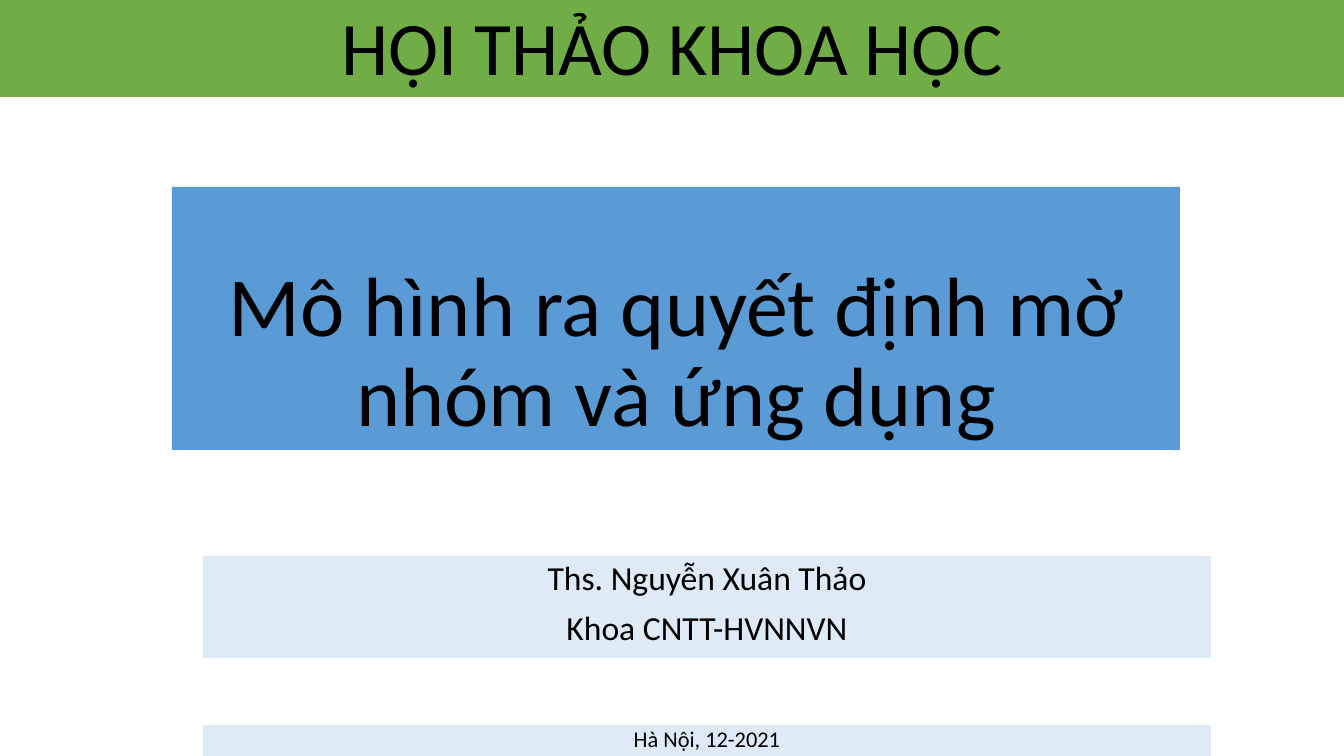
from dataclasses import dataclass

from pptx import Presentation
from pptx.dml.color import RGBColor
from pptx.enum.text import MSO_ANCHOR, MSO_AUTO_SIZE, PP_ALIGN
from pptx.util import Emu, Pt

EMU_PER_PX = 914400 / 100.8
BLACK = RGBColor(0x00, 0x00, 0x00)
BLUE = RGBColor(0x5B, 0x9B, 0xD5)
PALE_BLUE = RGBColor(0xDE, 0xEB, 0xF7)
GREEN = RGBColor(0x70, 0xAD, 0x47)


def px(n: int) -> Emu:
    return Emu(round(n * EMU_PER_PX))


@dataclass(frozen=True)
class Panel:
    lines: tuple[str, ...]
    left: int
    top: int
    width: int
    height: int
    fill: RGBColor
    size: int
    anchor: MSO_ANCHOR = MSO_ANCHOR.TOP
    line_spacing: float = 0.9


TITLE = Panel(("Mô hình ra quyết định mờ nhóm và ứng dụng",),
              172, 187, 1008, 263, BLUE, 60, MSO_ANCHOR.BOTTOM)
AUTHOR = Panel(("Ths. Nguyễn Xuân Thảo", "Khoa CNTT-HVNNVN"),
               203, 556, 1008, 102, PALE_BLUE, 24)
BANNER = Panel(("HỘI THẢO KHOA HỌC",),
               0, 0, 1344, 97, GREEN, 54, MSO_ANCHOR.BOTTOM)
DATE = Panel(("Hà Nội, 12-2021",),
             203, 725, 1008, 31, PALE_BLUE, 16, line_spacing=0.8)


def draw_panel(sp, panel: Panel) -> None:
    sp.left, sp.top = px(panel.left), px(panel.top)
    sp.width, sp.height = px(panel.width), px(panel.height)
    sp.fill.solid()
    sp.fill.fore_color.rgb = panel.fill
    tf = sp.text_frame
    tf.auto_size = MSO_AUTO_SIZE.NONE
    tf.word_wrap = True
    tf.vertical_anchor = panel.anchor
    for i, line in enumerate(panel.lines):
        p = tf.add_paragraph() if i else tf.paragraphs[0]
        p.text = line
        p.alignment = PP_ALIGN.CENTER
        p.line_spacing = panel.line_spacing
        p.space_before = Pt(10 if i else 0)
        p.font.name = "Calibri"
        p.font.size = Pt(panel.size)
        p.font.color.rgb = BLACK


def main() -> None:
    prs = Presentation()
    prs.slide_width, prs.slide_height = px(1344), px(756)
    s = prs.slides.add_slide(prs.slide_layouts[0])
    draw_panel(s.shapes.title, TITLE)
    draw_panel(s.placeholders[1], AUTHOR)
    for panel in (BANNER, DATE):
        draw_panel(s.shapes.add_textbox(0, 0, 0, 0), panel)
    prs.save("out.pptx")


if __name__ == "__main__":
    main()
